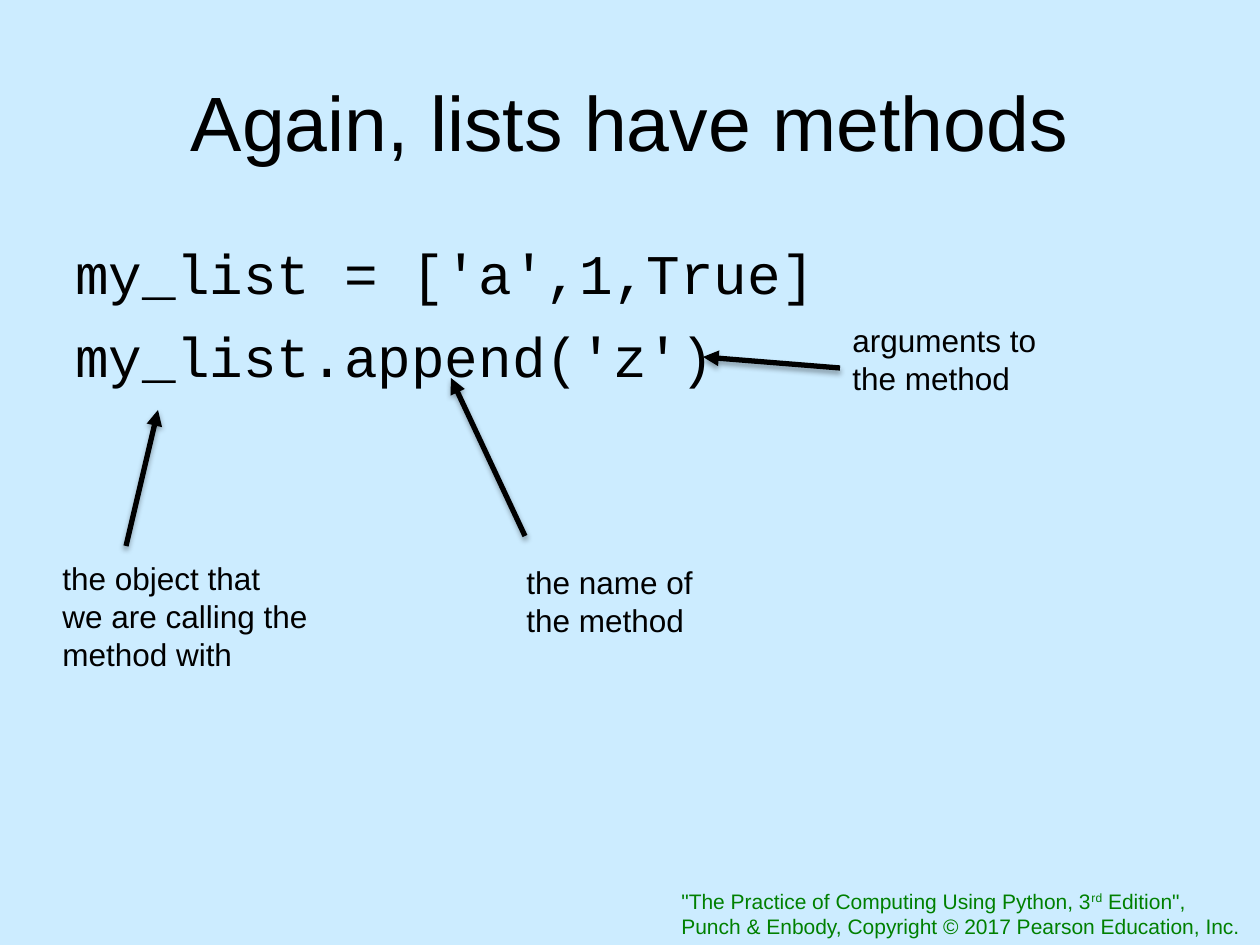
from dataclasses import dataclass

from lxml import etree
from pptx import Presentation
from pptx.dml.color import RGBColor
from pptx.enum.shapes import MSO_CONNECTOR
from pptx.enum.text import MSO_ANCHOR, PP_ALIGN
from pptx.oxml.ns import qn
from pptx.util import Emu, Pt

PX = 914400 / 126
STRAIGHT = MSO_CONNECTOR.STRAIGHT
TOP, MIDDLE = MSO_ANCHOR.TOP, MSO_ANCHOR.MIDDLE
LEFT, CENTER = PP_ALIGN.LEFT, PP_ALIGN.CENTER


@dataclass(frozen=True)
class Theme:
    """Colours, fonts and type sizes of the slide."""
    back: RGBColor = RGBColor(0xCC, 0xEC, 0xFF)
    ink: RGBColor = RGBColor(0, 0, 0)
    credit: RGBColor = RGBColor(0, 0x80, 0)
    sans: str = "Arial"
    mono: str = "Courier New"
    title_size: int = 44
    code_size: int = 32
    label_size: int = 18
    credit_size: int = 12
    arrow_width: int = 3


THEME = Theme()


def px(n):
    """Turn pixels into EMU."""
    return Emu(round(n * PX))


def add_text(s, box, lines, size, color=THEME.ink, font=THEME.sans,
             align=LEFT, anchor=TOP, gap=0):
    """Add a text box with one paragraph per line, each a list of runs."""
    tf = s.shapes.add_textbox(*map(px, box)).text_frame
    tf.word_wrap = True
    tf.vertical_anchor = anchor
    for i, runs in enumerate(lines):
        p = tf.paragraphs[0] if i == 0 else tf.add_paragraph()
        p.alignment = align
        if i and gap:
            p.space_before = Pt(gap)
        for text in runs:
            r = p.add_run()
            r.text = text
            r.font.name = font
            r.font.size = Pt(size)
            r.font.color.rgb = color
    return tf


def add_arrow(s, start, end):
    """Add a black arrow with a soft shadow."""
    c = s.shapes.add_connector(STRAIGHT, *map(px, start + end))
    c.line.color.rgb = THEME.ink
    c.line.width = Pt(THEME.arrow_width)
    sp_pr = c._element.spPr
    etree.SubElement(sp_pr.find(qn("a:ln")), qn("a:tailEnd"), type="triangle")
    effects = etree.SubElement(sp_pr, qn("a:effectLst"))
    shadow = etree.SubElement(effects, qn("a:outerShdw"), blurRad=str(Pt(3.1)),
                              dist=str(Pt(1.8)), dir="5400000", rotWithShape="0")
    color = etree.SubElement(shadow, qn("a:srgbClr"), val=str(THEME.ink))
    etree.SubElement(color, qn("a:alpha"), val="35000")


def add_title(s, box, text):
    """Add the centred slide title."""
    add_text(s, box, [[text]], THEME.title_size, align=CENTER, anchor=MIDDLE)


def add_code(s, box, lines):
    """Add the code sample."""
    add_text(s, box, [[line] for line in lines], THEME.code_size,
             font=THEME.mono, gap=9)


def add_callout(s, box, lines, start, end):
    """Add a label and its arrow, whose ends are relative to the box."""
    x, y = box[:2]
    add_text(s, box, [[line] for line in lines], THEME.label_size)
    add_arrow(s, (x + start[0], y + start[1]), (x + end[0], y + end[1]))


def add_credit(s, box):
    """Add the book credit with its raised ordinal."""
    tf = add_text(s, box, [
        ['"The Practice of Computing Using Python, 3', "rd", ' Edition",'],
        ["Punch & Enbody, Copyright © 2017 Pearson Education, Inc."],
    ], THEME.credit_size, THEME.credit)
    ordinal = tf.paragraphs[0].runs[1]
    ordinal._r.get_or_add_rPr().set("baseline", "30000")


def main():
    """Build the slide and save it."""
    prs = Presentation()
    prs.slide_width, prs.slide_height = px(1260), px(945)
    s = prs.slides.add_slide(prs.slide_layouts[6])
    s.background.fill.solid()
    s.background.fill.fore_color.rgb = THEME.back
    add_credit(s, (669, 882, 590, 63))
    add_title(s, (63, 63, 1134, 116), "Again, lists have methods")
    add_code(s, (63, 232, 1134, 188),
             ["my_list = ['a',1,True]", "my_list.append('z')"])
    callouts = [
        ((50, 553, 353, 164),
         ["the object that", "we are calling the", "method with"],
         (76, -7), (108, -143)),
        ((514, 557, 258, 113), ["the name of", "the method"],
         (11, -21), (-63, -179)),
        ((840, 315, 271, 113), ["arguments to", "the method"],
         (0, 53), (-137, 42)),
    ]
    for callout in callouts:
        add_callout(s, *callout)
    prs.save("out.pptx")


if __name__ == "__main__":
    main()
